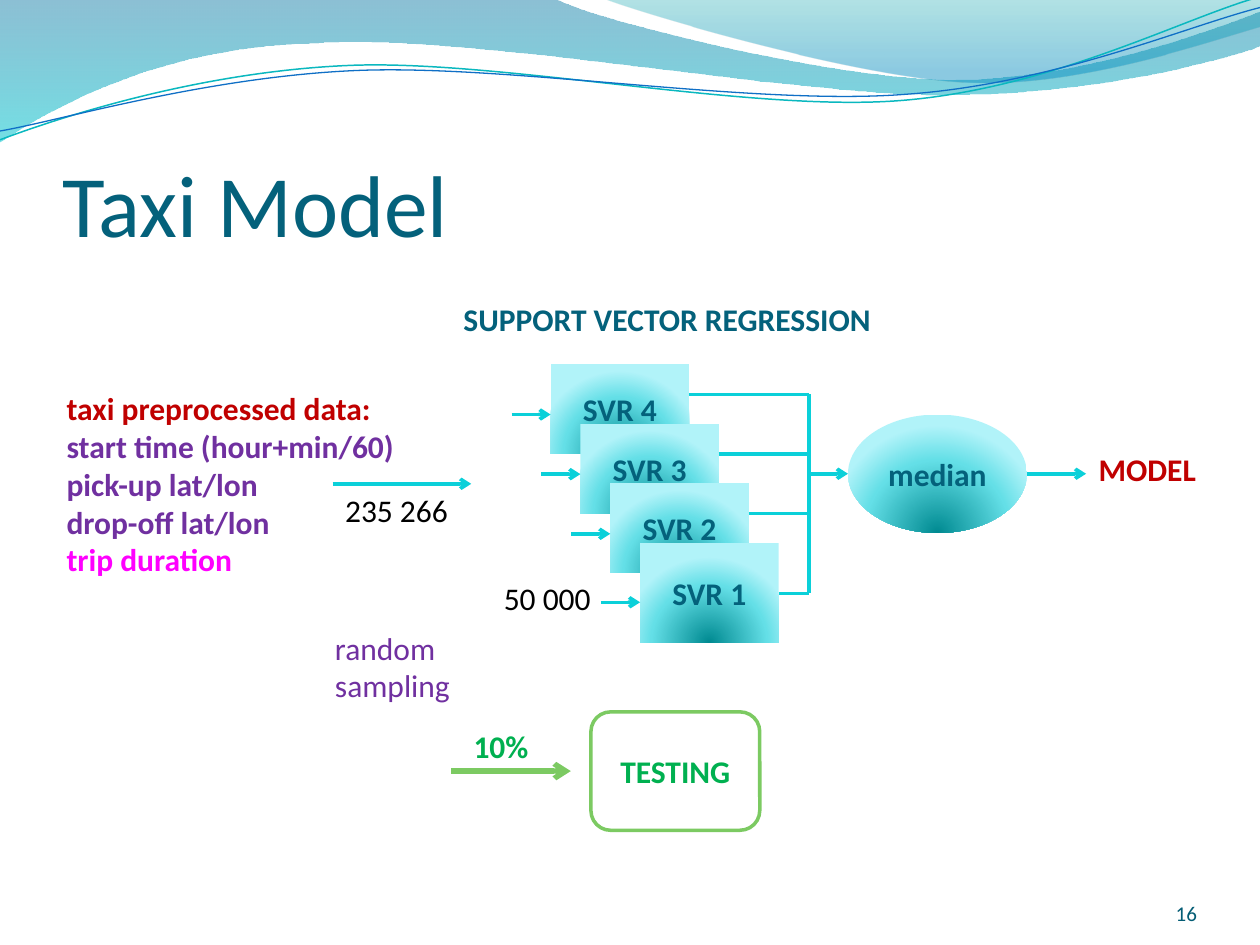
from pptx import Presentation
from pptx.dml.color import RGBColor
from pptx.enum.shapes import MSO_CONNECTOR, MSO_SHAPE
from pptx.enum.text import MSO_ANCHOR, PP_ALIGN
from pptx.oxml import parse_xml
from pptx.oxml.ns import nsdecls
from pptx.util import Inches, Pt

FONT = "Calibri"
WHITE = RGBColor(0xFF, 0xFF, 0xFF)
BLACK = RGBColor(0x00, 0x00, 0x00)
NAVY = RGBColor(0x04, 0x61, 0x7B)
SLATE = RGBColor(0x04, 0x5D, 0x75)
RED = RGBColor(0xC0, 0x00, 0x00)
PURPLE = RGBColor(0x70, 0x30, 0xA0)
PINK = RGBColor(0xFF, 0x00, 0xFF)
GREEN = RGBColor(0x00, 0xB0, 0x50)
LIME = RGBColor(0x7C, 0xCA, 0x62)
CYAN = RGBColor(0x0B, 0xD0, 0xD9)
TEAL = RGBColor(0x0A, 0xB8, 0xBF)
BLUE = RGBColor(0x0F, 0x6F, 0xC6)

# Gradient stops: position, colour, opacity (all but colour in percent)
GLOW = [(0, RGBColor(0x00, 0x8A, 0x91), 100),
        (68, RGBColor(0x64, 0xDF, 0xE7), 100),
        (100, RGBColor(0xB1, 0xF3, 0xF9), 100)]
SEA = [(0, RGBColor(0x00, 0x74, 0xA1), 45), (100, RGBColor(0x00, 0xC6, 0xCF), 55)]
SKY = [(0, RGBColor(0x00, 0xA1, 0xA9), 30), (80, RGBColor(0x00, 0x8B, 0xBF), 45)]
DOWN = '<a:lin ang="5400000" scaled="0"/>'
ROUND = ('<a:path path="circle"><a:fillToRect l="50000" t="130000" '
         'r="50000" b="-30000"/></a:path>')

# Waves: each item is one point of a line, or three points of a curve
BAND = [[(0, 0)], [(4.4, -0.01)],
        [(4.76, 0.17), (6.64, 0.63), (7.58, 0.63)],
        [(8.53, 0.63), (9.58, 0.26), (10, 0.09)], [(10.01, 0.36)],
        [(9.83, 0.44), (8.7, 0.76), (7.46, 0.75)],
        [(6.22, 0.75), (3.82, 0.28), (2.57, 0.34)],
        [(1.29, 0.36), (0.46, 0.83), (-0.01, 1.13)], [(0, 0)]]
CREST = [[(4.79, -0.01)],
         [(5.09, 0.11), (6.82, 0.62), (7.69, 0.65)],
         [(8.56, 0.69), (9.61, 0.32), (10, 0.21)], [(10, 0)], [(4.79, -0.01)]]
UPPER = [[(0, 1.11)],
         [(0.48, 0.93), (1.58, 0.57), (2.77, 0.52)],
         [(3.95, 0.47), (5.93, 0.89), (7.13, 0.8)],
         [(8.33, 0.71), (9.38, 0.15), (9.98, -0.02)]]
LOWER = [[(0, 1.04)],
         [(0.47, 0.96), (1.64, 0.61), (2.83, 0.56)],
         [(4.03, 0.51), (5.97, 0.84), (7.17, 0.75)],
         [(8.36, 0.67), (9.41, 0.21), (10, 0.06)]]


def shade(shape, stops, kind):
    """Give a shape a gradient fill."""
    marks = "".join(
        f'<a:gs pos="{pos * 1000}"><a:srgbClr val="{tint}">'
        f'<a:alpha val="{alpha * 1000}"/></a:srgbClr></a:gs>'
        for pos, tint, alpha in stops)
    shape.fill.background()
    props = shape.element.spPr
    props.replace(props.find("{*}noFill"), parse_xml(
        f'<a:gradFill {nsdecls("a")} rotWithShape="1">'
        f'<a:gsLst>{marks}</a:gsLst>{kind}</a:gradFill>'))


def bend(shape, parts):
    """Join each run of three straight segments that stands for a curve."""
    legs = iter(shape.element.spPr.findall(".//{*}lnTo"))
    for part in parts:
        group = [next(legs) for _ in part]
        if len(group) == 3:
            curve = parse_xml(f'<a:cubicBezTo {nsdecls("a")}/>')
            group[0].addprevious(curve)
            for leg in group:
                curve.append(leg[0])
                leg.getparent().remove(leg)


def wave(slide, parts, stops=None, line=None, width=0.75):
    dots = [(Inches(x), Inches(y)) for part in parts for x, y in part]
    pen = slide.shapes.build_freeform(*dots[0])
    pen.add_line_segments(dots[1:], close=stops is not None)
    shape = pen.convert_to_shape()
    bend(shape, parts[1:])
    shape.shadow.inherit = False
    if stops:
        shade(shape, stops, DOWN)
        shape.line.fill.background()
    else:
        shape.fill.background()
        shape.line.color.rgb = line
        shape.line.width = Pt(width)


def style(para, tint, size=18, bold=False, align=PP_ALIGN.LEFT):
    para.alignment = align
    for run in para.runs:
        run.font.name = FONT
        run.font.size = Pt(size)
        run.font.bold = bold
        run.font.color.rgb = tint


def label(slide, text, box, tints, size=18, bold=False, align=PP_ALIGN.LEFT,
          anchor=MSO_ANCHOR.TOP, inset=(0.1, 0.05)):
    """Add a text box with one tint for each paragraph."""
    frame = slide.shapes.add_textbox(*map(Inches, box)).text_frame
    frame.word_wrap = True
    frame.vertical_anchor = anchor
    frame.margin_left = frame.margin_right = Inches(inset[0])
    frame.margin_top = frame.margin_bottom = Inches(inset[1])
    frame.text = text
    for para, tint in zip(frame.paragraphs, tints):
        style(para, tint, size, bold, align)


def node(slide, kind, text, box, tint=NAVY):
    shape = slide.shapes.add_shape(kind, *map(Inches, box))
    shape.shadow.inherit = False
    shape.line.fill.background()
    frame = shape.text_frame
    frame.vertical_anchor = MSO_ANCHOR.MIDDLE
    frame.text = text
    style(frame.paragraphs[0], tint, bold=True, align=PP_ALIGN.CENTER)
    return shape


def link(slide, start, end, head=True, tint=CYAN, width=2):
    line = slide.shapes.add_connector(
        MSO_CONNECTOR.STRAIGHT, *map(Inches, start + end))
    line.line.color.rgb = tint
    line.line.width = Pt(width)
    props = line.element.spPr
    if head:
        props.find("{*}ln").append(
            parse_xml(f'<a:tailEnd {nsdecls("a")} type="arrow"/>'))
    props.append(parse_xml(f'<a:effectLst {nsdecls("a")}/>'))


def main():
    deck = Presentation()
    deck.slide_width, deck.slide_height = Inches(10), Inches(7.5)
    slide = deck.slides.add_slide(deck.slide_layouts[6])

    # Wave banner
    wave(slide, BAND, SEA)
    wave(slide, CREST, SKY)
    wave(slide, UPPER, line=TEAL, width=0.85)
    wave(slide, LOWER, line=BLUE)

    # Title and input data
    label(slide, "Taxi Model", (0.5, 0.77, 9, 1.25), [NAVY], 50,
          anchor=MSO_ANCHOR.BOTTOM, inset=(0, 0))
    label(slide, "taxi preprocessed data:\nstart time (hour+min/60)\n"
          "pick-up lat/lon\ndrop-off lat/lon\ntrip duration", (0.43, 3.04, 2.83, 1.62),
          [RED, PURPLE, PURPLE, PURPLE, PINK], bold=True)
    link(slide, (2.64, 3.84), (3.74, 3.84))
    label(slide, "235 266", (2.64, 3.85, 1.02, 0.4), [BLACK])

    # Staggered regressors
    right, down = (5.08 - 4.37) / 3, (4.31 - 2.89) / 3
    spots = [(4.37 + right * i, 2.89 + down * i) for i in range(4)]
    for i, (left, top) in enumerate(spots):
        box = (left, top, 1.1, 0.79 if i == 3 else 0.71)
        shade(node(slide, MSO_SHAPE.RECTANGLE, f"SVR {4 - i}", box), GLOW, ROUND)
    label(slide, "50 000", (3.9, 4.55, 1.02, 0.4), [BLACK])
    median = node(slide, MSO_SHAPE.OVAL, "median", (6.73, 3.29, 1.42, 0.94))
    shade(median, GLOW, ROUND)

    # Testing share
    link(slide, (3.58, 6.12), (4.53, 6.12), tint=LIME, width=3)
    label(slide, "10%", (3.66, 5.72, 0.71, 0.4), [GREEN], bold=True)
    test = node(slide, MSO_SHAPE.ROUNDED_RECTANGLE, "TESTING", (4.69, 5.65, 1.34, 0.94), GREEN)
    test.fill.solid()
    test.fill.fore_color.rgb = WHITE
    test.line.color.rgb = LIME
    test.line.width = Pt(2)

    # Feeds into the regressors, and leads to the bus
    bus = 6.42
    for (left, top), extra in zip(spots, (0, 0, 0, 0.07)):
        feed = top + 0.4 + extra
        link(slide, (left - 0.31, feed), (left, feed))
    for (left, top), extra in zip(spots, (0, 0, 0, 0.16)):
        lead = top + 0.24 + extra
        link(slide, (left + 1.1, lead), (bus, lead), head=False)
    link(slide, (bus, 3.13), (bus, 4.71), head=False)

    # Median and model
    link(slide, (bus, 3.76), (6.73, 3.76))
    link(slide, (8.15, 3.76), (8.62, 3.76))
    label(slide, "MODEL", (8.62, 3.52, 1.02, 0.4), [RED], bold=True)

    # Captions and slide number
    label(slide, "random sampling", (2.56, 4.94, 1.18, 0.71), [PURPLE])
    label(slide, "SUPPORT VECTOR REGRESSION", (3.58, 2.33, 3.54, 0.4), [NAVY], bold=True)
    label(slide, "16", (8.67, 6.95, 0.83, 0.4), [SLATE], 12, align=PP_ALIGN.RIGHT,
          anchor=MSO_ANCHOR.BOTTOM, inset=(0, 0))

    deck.save("out.pptx")


if __name__ == "__main__":
    main()
